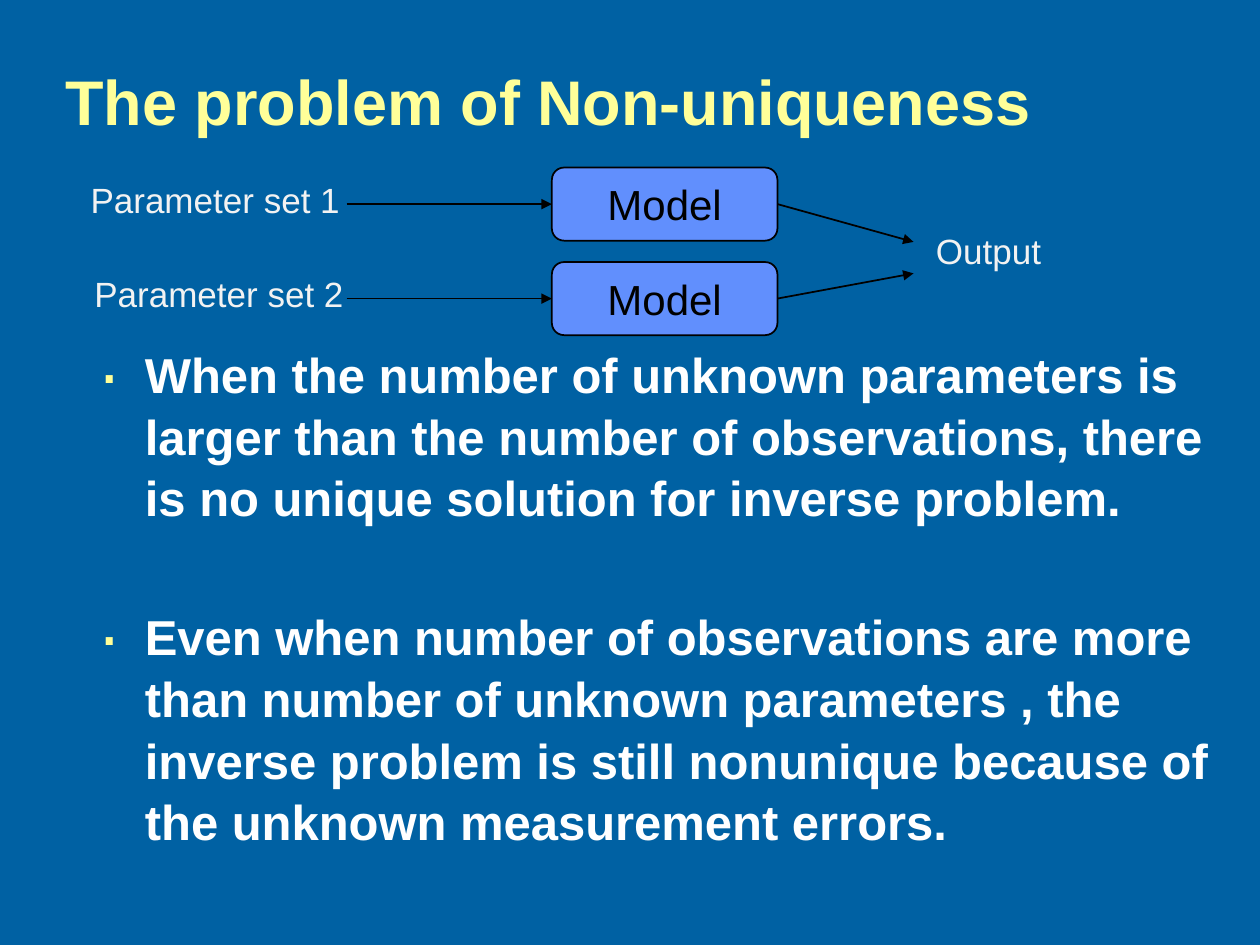
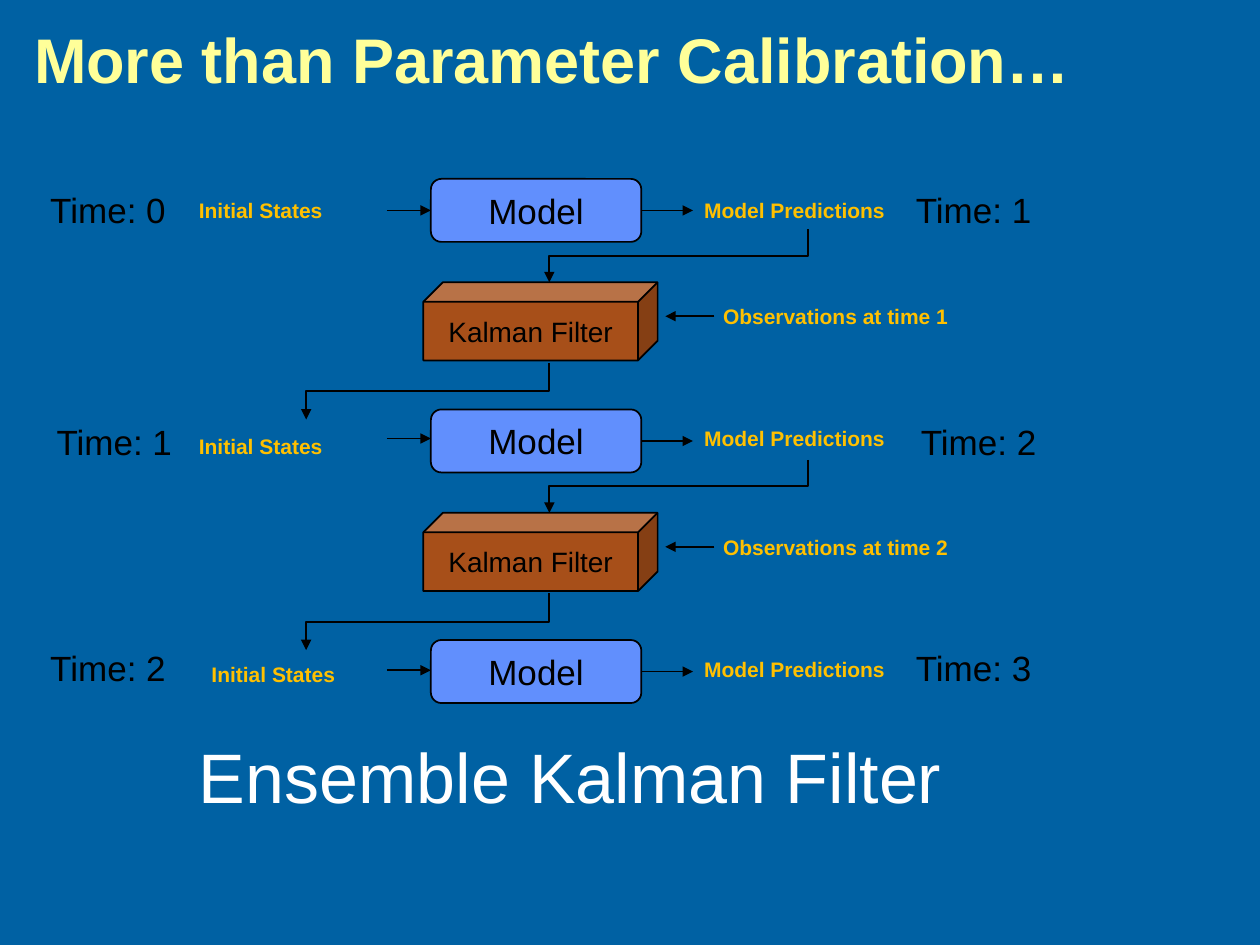
from dataclasses import dataclass

from pptx import Presentation
from pptx.dml.color import RGBColor
from pptx.enum.shapes import MSO_CONNECTOR as Connector, MSO_SHAPE as Shape
from pptx.enum.text import MSO_ANCHOR as Anchor, MSO_AUTO_SIZE as AutoSize, PP_ALIGN as Align
from pptx.oxml.ns import qn
from pptx.util import Inches, Pt
from lxml.etree import SubElement


@dataclass(frozen=True)
class Theme:
    font: str = "Arial"
    background: str = "0061A3"
    heading: str = "FFFF99"
    white: str = "FFFFFF"
    pale: str = "F2F2F2"
    ink: str = "000000"
    accent: str = "FFC000"
    model: str = "618FFD"
    kalman: str = "A74F19"
    title_size: int = 36
    body_size: int = 28
    closing_size: int = 40
    large_size: int = 24
    label_size: int = 20
    filter_size: int = 16
    note_size: int = 12
    body_leading: float = 1.05
    body_gap: int = 44
    line_width: int = 1


class Deck:
    def __init__(self, theme):
        self.theme = theme
        self.slide = None
        self.presentation = Presentation()
        self.presentation.slide_width = Inches(10)
        self.presentation.slide_height = Inches(7.5)
        fill = self.presentation.slide_master.background.fill
        fill.solid()
        fill.fore_color.rgb = RGBColor.from_string(theme.background)

    def start(self, layout_name, title, left, top):
        layout = self.presentation.slide_layouts.get_by_name(layout_name)
        self.slide = self.presentation.slides.add_slide(layout)
        heading = self.slide.shapes.title
        self.place(heading, left, top, 9.08, 1.25)
        heading.text_frame.text = title
        heading.text_frame.auto_size = AutoSize.NONE
        heading.text_frame.vertical_anchor = Anchor.MIDDLE
        paragraph = heading.text_frame.paragraphs[0]
        paragraph.alignment = Align.LEFT
        self.style(paragraph, self.theme.title_size, self.theme.heading, True)

    def place(self, element, left, top, width, height):
        element.left, element.top = Inches(left), Inches(top)
        element.width, element.height = Inches(width), Inches(height)

    def style(self, paragraph, size, color, bold=False):
        font = paragraph.font
        font.name, font.size, font.bold = self.theme.font, Pt(size), bold
        font.color.rgb = RGBColor.from_string(color)

    def bullets(self, items, left, top, width, height):
        body = self.slide.placeholders[1]
        self.place(body, left, top, width, height)
        frame = body.text_frame
        frame.text = "\n".join(items)
        frame.auto_size = AutoSize.NONE
        for index, paragraph in enumerate(frame.paragraphs):
            paragraph.line_spacing = self.theme.body_leading
            paragraph.space_before = Pt(self.theme.body_gap if index else 0)
            properties = paragraph._p.get_or_add_pPr()
            properties.set("marL", str(Inches(0.38)))
            properties.set("indent", str(-Inches(0.38)))
            color = SubElement(properties, qn("a:buClr"))
            SubElement(color, qn("a:srgbClr"), val=self.theme.heading)
            SubElement(properties, qn("a:buSzPct"), val="150000")
            SubElement(properties, qn("a:buFont"), typeface=self.theme.font)
            SubElement(properties, qn("a:buChar"), char="·")
            self.style(paragraph, self.theme.body_size, self.theme.white, True)

    def label(self, text, left, top, width, height, size, color, bold=False):
        box = self.slide.shapes.add_textbox(
            Inches(left), Inches(top), Inches(width), Inches(height))
        frame = box.text_frame
        frame.word_wrap = True
        frame.auto_size = AutoSize.SHAPE_TO_FIT_TEXT
        frame.text = text
        self.style(frame.paragraphs[0], size, color, bold)

    def note(self, text, left, top, width):
        self.label(text, left, top, width, 0.3, self.theme.note_size, self.theme.accent, True)

    def block(self, kind, text, left, top, width, height, fill, size):
        block = self.slide.shapes.add_shape(
            kind, Inches(left), Inches(top), Inches(width), Inches(height))
        block.shadow.inherit = False
        block.fill.solid()
        block.fill.fore_color.rgb = RGBColor.from_string(fill)
        block.line.color.rgb = RGBColor.from_string(self.theme.ink)
        block.line.width = Pt(self.theme.line_width)
        frame = block.text_frame
        frame.text = text
        frame.vertical_anchor = Anchor.MIDDLE
        frame.paragraphs[0].alignment = Align.CENTER
        self.style(frame.paragraphs[0], size, self.theme.ink)

    def model(self, left, top, width, height, size):
        self.block(Shape.ROUNDED_RECTANGLE, "Model", left, top, width, height,
                   self.theme.model, size)

    def arrow(self, x1, y1, x2, y2, kind=Connector.STRAIGHT):
        arrow = self.slide.shapes.add_connector(
            kind, Inches(x1), Inches(y1), Inches(x2), Inches(y2))
        arrow.line.color.rgb = RGBColor.from_string(self.theme.ink)
        arrow.line.width = Pt(self.theme.line_width)
        SubElement(arrow.line._get_or_add_ln(), qn("a:tailEnd"), type="triangle")
        SubElement(arrow._element.spPr, qn("a:effectLst"))
        return arrow

    def step_down_left(self, x1, y1, x2, y2):
        center_x, center_y = (x1 + x2) / 2, (y1 + y2) / 2
        half_run, half_drop = (x1 - x2) / 2, (y2 - y1) / 2
        arrow = self.arrow(center_x - half_drop, center_y - half_run,
                           center_x + half_drop, center_y + half_run, Connector.ELBOW)
        arrow._element.spPr.find(qn("a:xfrm")).set("rot", "5400000")


def build_nonuniqueness(deck):
    theme = deck.theme
    deck.start("Title and Content", "The problem of Non-uniqueness", 0.42, 0.17)
    deck.bullets([
        "When the number of unknown parameters is larger than the number of observations, "
        "there is no unique solution for inverse problem.",
        "Even when number of observations are more than number of unknown parameters , "
        "the inverse problem is still nonunique because of the unknown measurement errors.",
    ], 0.67, 2.66, 9.08, 3)
    branches = [(1.33, 0.62, 1.37, 1.92), (2.08, 0.65, 2.11, 2.17)]
    for number, (top, label_left, label_top, output_y) in enumerate(branches, 1):
        middle = top + 0.29
        deck.model(4.38, top, 1.79, 0.58, theme.large_size)
        deck.arrow(2.75, middle, 4.38, middle)
        deck.arrow(6.17, middle, 7.25, output_y)
        deck.label(f"Parameter set {number}", label_left, label_top, 2.42, 0.44,
                   theme.label_size, theme.pale)
    deck.label("Output", 7.33, 1.77, 1.9, 0.44, theme.label_size, theme.pale)


def build_calibration(deck):
    theme = deck.theme
    deck.start("Title Only", "More than Parameter Calibration…", 0.17, -0.16)
    cycles = [
        (0.3, 7.17, 1.45, 1.48, 1.52, 1.52, 1.67),
        (0.35, 7.21, 3.29, 1.48, 3.39, 3.33, 3.48),
        (0.3, 7.17, 5.08, 1.58, 5.2, 5.16, 5.32),
    ]
    for time, cycle in enumerate(cycles):
        start_left, end_left, time_top, states_left, states_top, predictions_top, entry_y = cycle
        top = 1.42 + 1.83 * time
        deck.model(3.42, top, 1.67, 0.5, theme.label_size)
        deck.arrow(3.07, entry_y, 3.42, entry_y)
        deck.arrow(5.09, top + 0.25, 5.5, top + 0.25)
        deck.note("Initial States", states_left, states_top, 1.58)
        deck.note("Model Predictions", 5.49, predictions_top, 1.85)
        for left, moment in ((start_left, time), (end_left, time + 1)):
            deck.label(f"Time: {moment}", left, time_top, 2.41, 0.44,
                       theme.label_size, theme.ink)
        if time < len(cycles) - 1:
            deck.block(Shape.CUBE, "Kalman Filter", 3.36, top + 0.82, 1.86, 0.62,
                       theme.kalman, theme.filter_size)
            deck.step_down_left(6.41, top + 0.4, 4.36, top + 0.82)
            deck.step_down_left(4.36, top + 1.46, 2.43, top + 1.91)
            deck.note(f"Observations at time {time + 1}", 5.64, top + 0.94, 2.1)
            deck.arrow(5.67, top + 1.09, 5.28, top + 1.09)
    deck.label("Ensemble Kalman Filter", 1.48, 5.77, 6.25, 0.77,
               theme.closing_size, theme.white)


def main():
    deck = Deck(Theme())
    build_nonuniqueness(deck)
    build_calibration(deck)
    deck.presentation.save("out.pptx")


if __name__ == "__main__":
    main()
